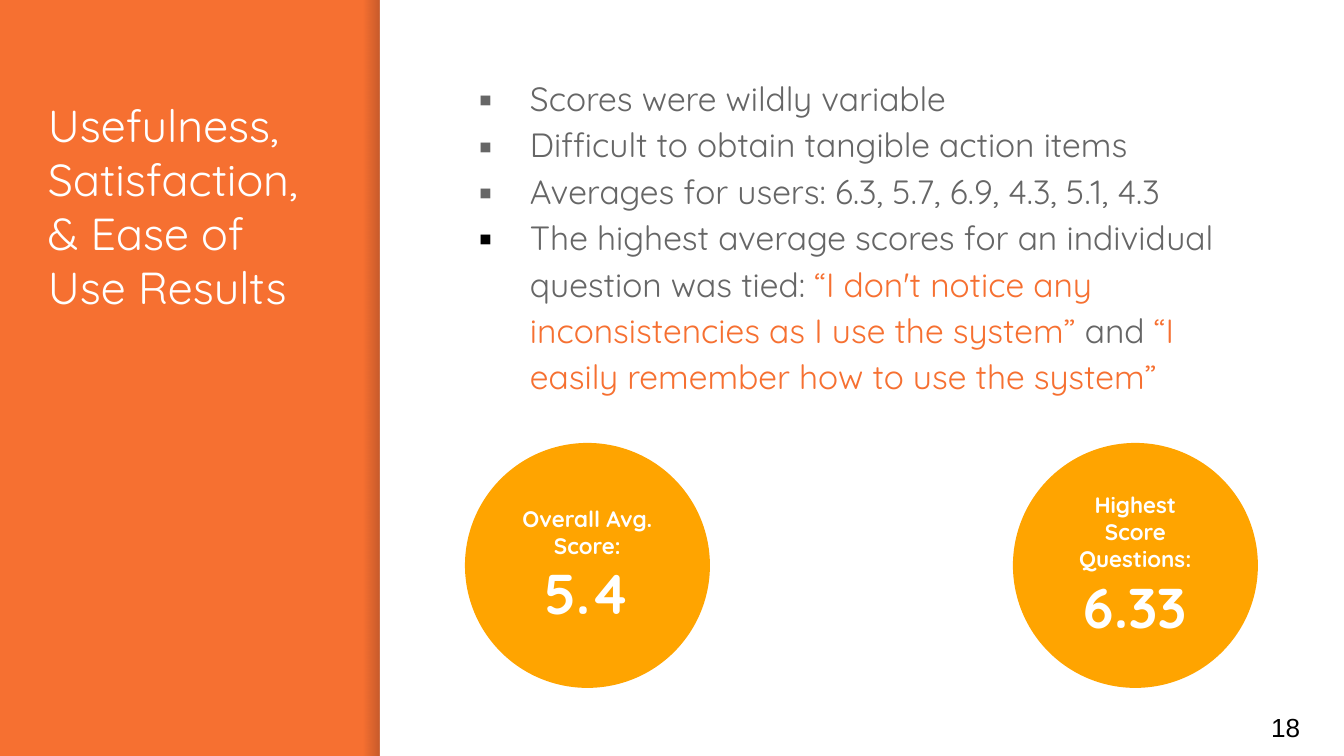
import pptx
import pptx.dml.color
import pptx.enum.shapes
import pptx.enum.text
import pptx.oxml.ns
import pptx.util
from lxml import etree

SLIDE_WIDTH, SLIDE_HEIGHT = 1344, 756
PX = 914400 * 10 / SLIDE_WIDTH
INSET = 13
PANEL_LEFT = 380
SHADE_WIDTH = 16

ORANGE, AMBER, GREY = "F67031", "FFA400", "666666"
WHITE, BLACK, SHADE = "FFFFFF", "000000", "000014"

TITLE = "Usefulness, Satisfaction, & Ease of Use Results"
PAGE_NUMBER = "18"

# Each bullet: marker colour, then runs of (text, colour).
BULLETS = [
    (GREY, [("Scores were wildly variable", GREY)]),
    (GREY, [("Difficult to obtain tangible action items", GREY)]),
    (GREY, [("Averages for users: 6.3, 5.7, 6.9, 4.3, 5.1, 4.3", GREY)]),
    (BLACK, [
        ("The highest average scores for an individual question was tied: ", GREY),
        ("“I don't notice any inconsistencies as I use the system” ", ORANGE),
        ("and ", GREY),
        ("“I easily remember how to use the system”", ORANGE),
    ]),
]

# Each circle: left, caption, score.
CIRCLES = [
    (465, "Overall Avg. Score:", "5.4"),
    (1013, "Highest Score Questions:", "6.33"),
]
CIRCLE_TOP, CIRCLE_SIZE = 443, 245

TITLE_FORMAT = {"size": pptx.util.Pt(24), "name": "Quicksand"}
BODY_FORMAT = {"size": pptx.util.Pt(18), "name": "Quicksand"}
CAPTION_FORMAT = {"size": pptx.util.Pt(12), "name": "Quicksand", "bold": True}
SCORE_FORMAT = {"size": pptx.util.Pt(30), "name": "Quicksand", "bold": True}
NUMBER_FORMAT = {"size": pptx.util.Pt(14), "name": "Arial"}

MIDDLE = pptx.enum.text.MSO_ANCHOR.MIDDLE
TOP = pptx.enum.text.MSO_ANCHOR.TOP
CENTER = pptx.enum.text.PP_ALIGN.CENTER
SHAPES = pptx.enum.shapes.MSO_SHAPE


def emu(*lengths):
    return [round(length * PX) for length in lengths]


def rgb(value):
    return pptx.dml.color.RGBColor.from_string(value)


def add_child(parent, tag, **attributes):
    return etree.SubElement(parent, pptx.oxml.ns.qn(tag), attributes)


def add_shape(slide, kind, box, fill=None):
    shape = slide.shapes.add_shape(kind, *emu(*box))
    shape.shadow.inherit = False
    shape.line.fill.background()
    if fill:
        shape.fill.solid()
        shape.fill.fore_color.rgb = rgb(fill)
    return shape


def set_frame(shape, anchor):
    frame = shape.text_frame
    inset, = emu(INSET)
    settings = {"word_wrap": True, "vertical_anchor": anchor}
    for side in ("left", "top", "right", "bottom"):
        settings["margin_" + side] = inset
    for name, value in settings.items():
        setattr(frame, name, value)
    return frame


def add_text_box(slide, box, anchor=TOP):
    return set_frame(slide.shapes.add_textbox(*emu(*box)), anchor)


def next_paragraph(frame, index):
    return frame.add_paragraph() if index else frame.paragraphs[0]


def add_run(paragraph, text, color, font_format):
    run = paragraph.add_run()
    run.text = text
    for name, value in font_format.items():
        setattr(run.font, name, value)
    run.font.color.rgb = rgb(color)


def add_bullet(paragraph, color):
    paragraph.line_spacing = 1.15
    properties = paragraph._p.get_or_add_pPr()
    margin, hang = emu(67, -51)
    properties.set("marL", str(margin))
    properties.set("indent", str(hang))
    add_child(add_child(properties, "a:buClr"), "a:srgbClr", val=color)
    add_child(properties, "a:buFont", typeface="Quicksand")
    add_child(properties, "a:buChar", char="▪")


def add_panel_shade(slide):
    """Soft shadow that darkens towards the edge of the white panel."""
    box = (PANEL_LEFT - SHADE_WIDTH, 0, SHADE_WIDTH, SLIDE_HEIGHT)
    shade = add_shape(slide, SHAPES.RECTANGLE, box)
    shade.fill.gradient()
    shade.fill.gradient_angle = 0
    for stop, opacity in zip(shade.fill.gradient_stops, (0, 20)):
        stop.color.rgb = rgb(SHADE)
        color = shade._element.spPr.findall(".//" + pptx.oxml.ns.qn("a:srgbClr"))[-1]
        add_child(color, "a:alpha", val=str(opacity * 1000))


def add_bullets(slide):
    frame = add_text_box(slide, (450, 59, 823, 375))
    for index, (marker_color, runs) in enumerate(BULLETS):
        paragraph = next_paragraph(frame, index)
        add_bullet(paragraph, marker_color)
        for text, color in runs:
            add_run(paragraph, text, color, BODY_FORMAT)


def add_circle(slide, left, caption, score):
    box = (left, CIRCLE_TOP, CIRCLE_SIZE, CIRCLE_SIZE)
    frame = set_frame(add_shape(slide, SHAPES.OVAL, box, AMBER), MIDDLE)
    lines = [(caption, CAPTION_FORMAT), (score, SCORE_FORMAT)]
    for index, (text, font_format) in enumerate(lines):
        paragraph = next_paragraph(frame, index)
        paragraph.alignment = CENTER
        add_run(paragraph, text, WHITE, font_format)


def main():
    presentation = pptx.Presentation()
    presentation.slide_width, presentation.slide_height = emu(SLIDE_WIDTH, SLIDE_HEIGHT)
    slide = presentation.slides.add_slide(presentation.slide_layouts[6])
    slide.background.fill.solid()
    slide.background.fill.fore_color.rgb = rgb(ORANGE)

    add_panel_shade(slide)
    panel = (PANEL_LEFT, 0, SLIDE_WIDTH - PANEL_LEFT, SLIDE_HEIGHT)
    add_shape(slide, SHAPES.RECTANGLE, panel, WHITE)

    number = add_text_box(slide, (1258, 698, 81, 58), MIDDLE)
    add_run(number.paragraphs[0], PAGE_NUMBER, BLACK, NUMBER_FORMAT)
    title = add_text_box(slide, (35, 85, 301, 585))
    add_run(title.paragraphs[0], TITLE, WHITE, TITLE_FORMAT)

    add_bullets(slide)
    for circle in CIRCLES:
        add_circle(slide, *circle)

    presentation.save("out.pptx")


if __name__ == "__main__":
    main()
